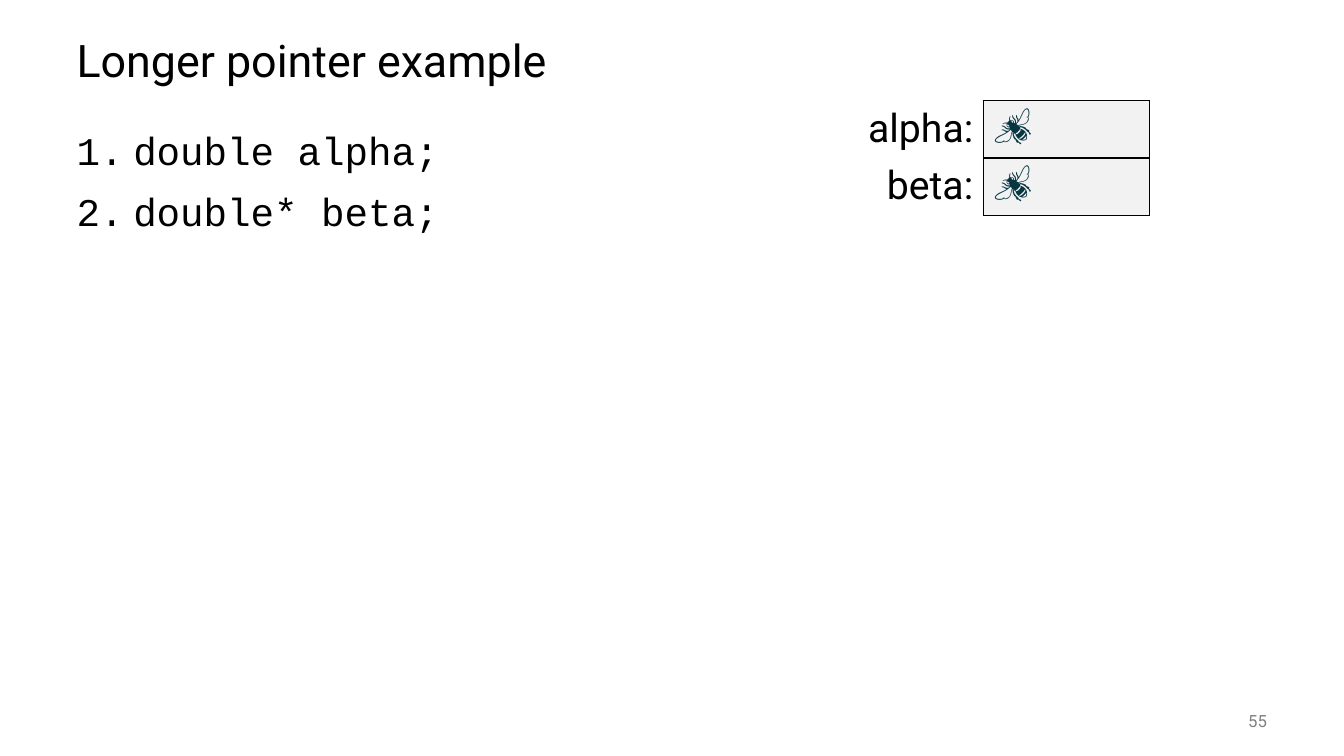
from lxml import etree
from pptx import Presentation
from pptx.dml.color import RGBColor
from pptx.enum.text import MSO_ANCHOR, PP_ALIGN
from pptx.oxml.ns import qn
from pptx.util import Cm, Pt

MIDDLE = MSO_ANCHOR.MIDDLE
TOP = MSO_ANCHOR.TOP
LEFT = PP_ALIGN.LEFT
RIGHT = PP_ALIGN.RIGHT

COLORS = {"text": "000000", "number": "808080", "bee": "073642",
          "cell": "F2F2F2", "border": "000000"}
SIDES = ("L", "R", "T", "B")


def rgb(name):
    return RGBColor.from_string(COLORS[name])


def write(p, text, size, font="Roboto", color="text", **paragraph_format):
    for name, value in paragraph_format.items():
        setattr(p, name, value)
    r = p.add_run()
    r.text = text
    for name, value in {"size": Pt(size), "name": font}.items():
        setattr(r.font, name, value)
    r.font.color.rgb = rgb(color)


def add_box(s, left, top, width, height, anchor=MIDDLE):
    sp = s.shapes.add_textbox(Cm(left), Cm(top), Cm(width), Cm(height))
    tf = sp.text_frame
    tf.word_wrap = True
    tf.vertical_anchor = anchor
    return tf


def number_paragraph(p, indent):
    pPr = p._p.get_or_add_pPr()
    pPr.set("marL", str(Cm(indent)))
    pPr.set("indent", str(-Cm(indent)))
    etree.SubElement(pPr, qn("a:buFont"), typeface="Courier New")
    etree.SubElement(pPr, qn("a:buAutoNum"), type="arabicPeriod")


def add_code(s, lines):
    tf = add_box(s, 1.68, 3.18, 30.48, 13.97, TOP)
    for i, line in enumerate(lines):
        p = tf.add_paragraph() if i else tf.paragraphs[0]
        number_paragraph(p, 1.43)
        write(p, line, 28, "Courier New", line_spacing=0.9,
              space_before=Pt(14 if i else 0))


def set_borders(cell, drawn):
    tcPr = cell._tc.get_or_add_tcPr()
    for side in SIDES:
        ln = etree.SubElement(tcPr, qn(f"a:ln{side}"), w=str(Pt(1)))
        if side in drawn:
            fill = etree.SubElement(ln, qn("a:solidFill"))
            etree.SubElement(fill, qn("a:srgbClr"), val=COLORS["border"])
        else:
            etree.SubElement(ln, qn("a:noFill"))


def style_cell(cell, drawn, fill=None):
    set_borders(cell, drawn)
    if fill:
        cell.fill.solid()
        cell.fill.fore_color.rgb = rgb(fill)
    else:
        cell.fill.background()


def add_memory_table(s, variables):
    rows = len(variables) + 1
    table = s.shapes.add_table(rows, 2, Cm(20.6), Cm(2.54),
                               Cm(8.36), Cm(1.41 * rows)).table
    table.first_row = table.horz_banding = False
    for i, (name, value) in enumerate(variables):
        label, content = table.cell(i, 0), table.cell(i, 1)
        style_cell(label, "R")
        style_cell(content, "LRTB", "cell")
        write(label.text_frame.paragraphs[0], name, 28, alignment=RIGHT)
        write(content.text_frame.paragraphs[0], value, 28, "Courier New",
              "bee", alignment=LEFT)
    style_cell(table.cell(rows - 1, 0), "")
    style_cell(table.cell(rows - 1, 1), "T")


def main():
    prs = Presentation()
    prs.slide_width, prs.slide_height = Cm(33.87), Cm(19.05)
    s = prs.slides.add_slide(prs.slide_layouts[6])
    title = add_box(s, 1.68, 0.64, 30.48, 1.91)
    write(title.paragraphs[0], "Longer pointer example", 32, line_spacing=0.9)
    add_code(s, ["double alpha;", "double* beta;"])
    number = add_box(s, 29.64, 17.65, 2.54, 1.02)
    write(number.paragraphs[0], "55", 12, color="number", alignment=RIGHT)
    add_memory_table(s, [("alpha:", "🐝"), ("beta:", "🐝")])
    prs.save("out.pptx")


if __name__ == "__main__":
    main()
